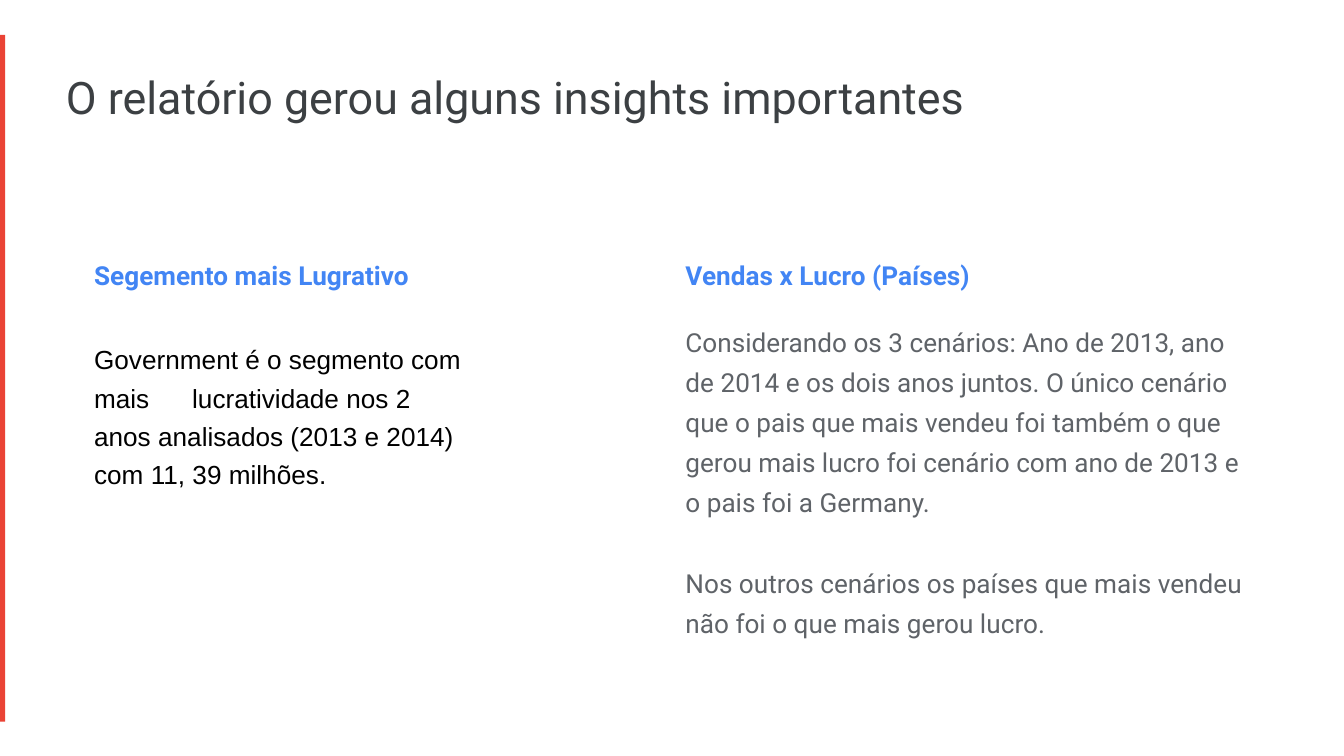
from dataclasses import dataclass

import pptx
import pptx.dml.color
import pptx.enum.shapes
import pptx.enum.text
import pptx.oxml
import pptx.oxml.ns
import pptx.util

Inches = pptx.util.Inches
Pt = pptx.util.Pt


@dataclass(frozen=True)
class Theme:
    accent: str = "EA4335"
    title: str = "3C4043"
    heading: str = "4285F4"
    body: str = "5F6368"
    black: str = "000000"
    font: str = "Roboto"
    plain_font: str = "Arial"
    title_size: float = 24
    text_size: float = 14
    line_spacing: float = 1.3
    paragraph_gap: float = 21.5


THEME = Theme()


@dataclass(frozen=True)
class Insight:
    heading: str
    paragraphs: tuple[str, ...]
    left: float
    column_width: float
    row_heights: tuple[float, float]
    font: str
    color: str
    tab_stop: float = 0


INSIGHTS = (
    Insight(
        "Vendas x Lucro (Países)",
        (
            "Considerando os 3 cenários: Ano de 2013, ano de 2014 e os dois anos "
            "juntos. O único cenário que o pais que mais vendeu foi também o que "
            "gerou mais lucro foi cenário com ano de 2013 e o pais foi a Germany.",
            "Nos outros cenários os países que mais vendeu não foi o que mais "
            "gerou lucro.",
        ),
        5, 4.38, (0.41, 1.86), THEME.font, THEME.body,
    ),
    Insight(
        "Segemento mais Lugrativo",
        (
            "Government é o segmento com mais\tlucratividade nos 2 anos "
            "analisados (2013 e 2014) com 11, 39 milhões.",
        ),
        0.6, 2.98, (0.57, 0.42), THEME.plain_font, THEME.black, tab_stop=0.73,
    ),
)
TABLE_TOP = 1.84
CELL_MARGIN = 0.1
PLAIN_TABLE_STYLE = "{2D5ABB26-0587-4C30-8999-92F81FD0307C}"  # no style, no grid


def format_runs(p, size: float, font: str, color: str, bold: bool = False) -> None:
    for r in p.runs:
        r.font.size = Pt(size)
        r.font.name = font
        r.font.bold = bold
        r.font.color.rgb = pptx.dml.color.RGBColor.from_string(color)


def set_margins(box, margin: float) -> None:
    box.margin_left = box.margin_right = Inches(margin)
    box.margin_top = box.margin_bottom = Inches(margin)


def add_tab_stop(p, position: float) -> None:
    tabs = pptx.oxml.parse_xml(
        f'<a:tabLst {pptx.oxml.ns.nsdecls("a")}>'
        f'<a:tab pos="{Inches(position)}" algn="l"/></a:tabLst>'
    )
    p._p.get_or_add_pPr().append(tabs)


def add_insight(slide, insight: Insight) -> None:
    table = slide.shapes.add_table(
        2, 2, Inches(insight.left), Inches(TABLE_TOP),
        Inches(2 * insight.column_width), Inches(sum(insight.row_heights)),
    ).table
    table.first_row = table.horz_banding = False
    style = table._tbl.tblPr.find(pptx.oxml.ns.qn("a:tableStyleId"))
    style.text = PLAIN_TABLE_STYLE
    for column in table.columns:
        column.width = Inches(insight.column_width)
    for row, height in zip(table.rows, insight.row_heights):
        row.height = Inches(height)
        for cell, margin in zip(row.cells, (CELL_MARGIN, 0)):
            cell.fill.background()
            set_margins(cell, margin)

    # Heading row
    tf = table.cell(0, 0).text_frame
    tf.text = insight.heading
    format_runs(tf.paragraphs[0], THEME.text_size, THEME.font, THEME.heading, True)

    # Body row
    tf = table.cell(1, 0).text_frame
    tf.text = "\n".join(insight.paragraphs)
    for i, p in enumerate(tf.paragraphs):
        p.line_spacing = THEME.line_spacing
        if i:
            p.space_before = Pt(THEME.paragraph_gap)
        if insight.tab_stop:
            add_tab_stop(p, insight.tab_stop)
        format_runs(p, THEME.text_size, insight.font, insight.color)


def add_accent_bar(slide) -> None:
    sp = slide.shapes.add_shape(
        pptx.enum.shapes.MSO_SHAPE.RECTANGLE,
        Inches(-0.02), Inches(0.26), Inches(0.06), Inches(5.11),
    )
    sp.shadow.inherit = False
    sp.fill.solid()
    sp.fill.fore_color.rgb = pptx.dml.color.RGBColor.from_string(THEME.accent)
    sp.line.fill.background()


def set_title(slide, text: str) -> None:
    sp = slide.shapes.title
    sp.left, sp.top = Inches(0.47), Inches(0.54)
    sp.width, sp.height = Inches(8.53), Inches(0.45)
    tf = sp.text_frame
    tf.text = text
    tf.word_wrap = True
    tf.auto_size = pptx.enum.text.MSO_AUTO_SIZE.NONE
    tf.vertical_anchor = pptx.enum.text.MSO_ANCHOR.TOP
    set_margins(tf, 0.02)
    p = tf.paragraphs[0]
    p.alignment = pptx.enum.text.PP_ALIGN.LEFT
    p.line_spacing = 0.9
    format_runs(p, THEME.title_size, THEME.font, THEME.title)


def main() -> None:
    prs = pptx.Presentation()
    prs.slide_width = Inches(10)
    prs.slide_height = prs.slide_width * 9 // 16
    slide = prs.slides.add_slide(prs.slide_layouts[5])

    # Accent and title
    add_accent_bar(slide)
    set_title(slide, "O relatório gerou alguns insights importantes")

    # Insight tables
    for insight in INSIGHTS:
        add_insight(slide, insight)

    prs.save("out.pptx")


if __name__ == "__main__":
    main()
